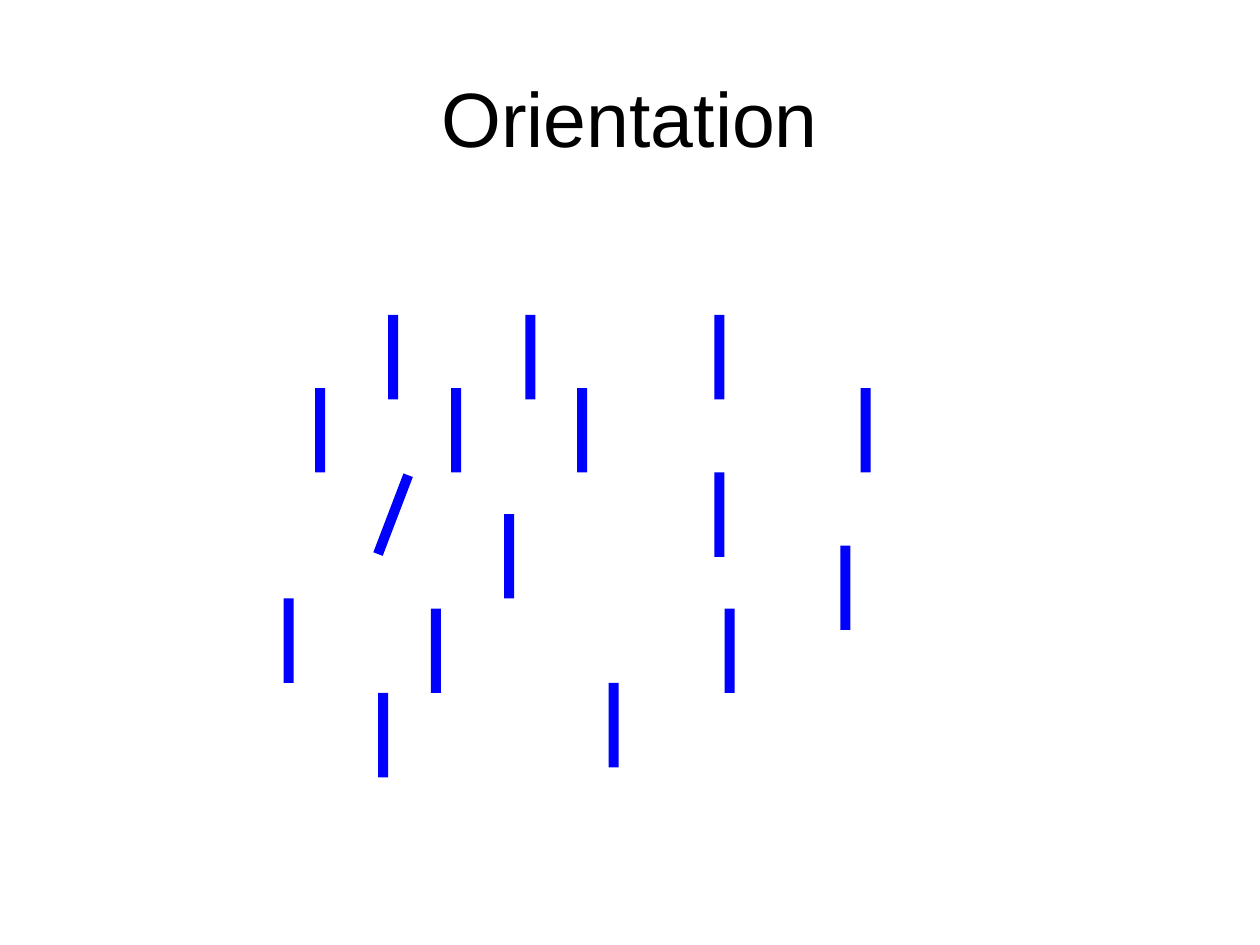
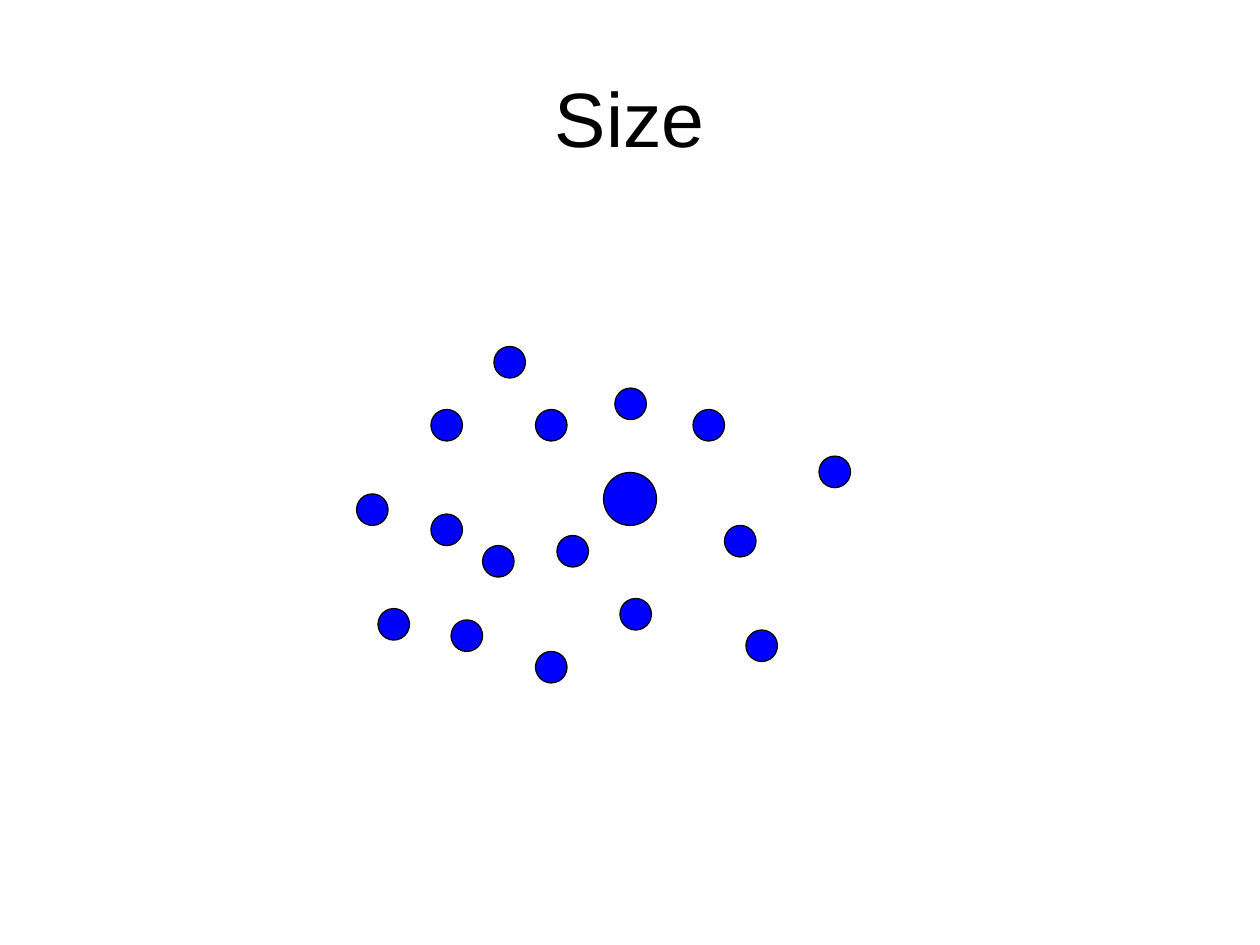
from dataclasses import dataclass

from pptx import Presentation
from pptx.dml.color import RGBColor
from pptx.enum.shapes import MSO_SHAPE
from pptx.enum.text import MSO_ANCHOR, PP_ALIGN
from pptx.presentation import Presentation as Deck
from pptx.slide import Slide
from pptx.util import Inches, Pt

FONT = "Arial"
BLACK = "000000"
BLUE = "0000FF"
BLANK_LAYOUT = 6


@dataclass(frozen=True)
class Mark:
    """One item of a search display, placed by its top left corner in inches."""
    left: float
    top: float
    width: float
    height: float
    rotation: float = 0


def bar(left: float, top: float, rotation: float = 0) -> Mark:
    return Mark(left, top, 0.08, 0.67, rotation)


def dot(left: float, top: float, diameter: float = 0.25) -> Mark:
    return Mark(left, top, diameter, diameter)


BARS = [
    bar(2.5, 3.08), bar(3.08, 3.75, rotation=20.9), bar(4, 4.08), bar(3.08, 2.5),
    bar(5.67, 3.75), bar(3.58, 3.08), bar(4.58, 3.08), bar(4.17, 2.5),
    bar(5.67, 2.5), bar(3.42, 4.83), bar(5.75, 4.83), bar(2.25, 4.75),
    bar(3, 5.5), bar(6.67, 4.33), bar(4.83, 5.42), bar(6.83, 3.08),
]

DOTS = [
    dot(4.25, 3.25), dot(5.5, 3.25), dot(3.42, 4.08), dot(3.58, 4.92),
    dot(3.83, 4.33), dot(5.75, 4.17), dot(4.42, 4.25), dot(4.25, 5.17),
    dot(5.92, 5), dot(4.92, 4.75), dot(4.79, 3.75, diameter=0.42), dot(3.42, 3.25),
    dot(2.83, 3.92), dot(3.92, 2.75), dot(3, 4.83), dot(4.88, 3.08),
    dot(6.5, 3.62),
]


def color(value: str) -> RGBColor:
    return RGBColor.from_string(value)


def add_page(deck: Deck, title: str) -> Slide:
    page = deck.slides.add_slide(deck.slide_layouts[BLANK_LAYOUT])
    box = page.shapes.add_textbox(Inches(0.5), Inches(0.3), Inches(9), Inches(1.25))
    frame = box.text_frame
    frame.word_wrap = True
    frame.vertical_anchor = MSO_ANCHOR.MIDDLE
    frame.text = title
    paragraph = frame.paragraphs[0]
    paragraph.alignment = PP_ALIGN.CENTER
    font = paragraph.runs[0].font
    font.name = FONT
    font.size = Pt(44)
    font.color.rgb = color(BLACK)
    return page


def draw_marks(page: Slide, marks: list[Mark], preset: MSO_SHAPE, outlined: bool) -> None:
    for mark in marks:
        shape = page.shapes.add_shape(
            preset, Inches(mark.left), Inches(mark.top),
            Inches(mark.width), Inches(mark.height))
        shape.rotation = mark.rotation
        shape.shadow.inherit = False
        shape.fill.solid()
        shape.fill.fore_color.rgb = color(BLUE)
        if outlined:
            shape.line.color.rgb = color(BLACK)
            shape.line.width = Pt(0.75)
        else:
            shape.line.fill.background()


def main() -> None:
    deck = Presentation()
    deck.slide_width = Inches(10)
    deck.slide_height = Inches(7.5)
    draw_marks(add_page(deck, "Orientation"), BARS, MSO_SHAPE.RECTANGLE, outlined=False)
    draw_marks(add_page(deck, "Size"), DOTS, MSO_SHAPE.OVAL, outlined=True)
    deck.save("out.pptx")


if __name__ == "__main__":
    main()
